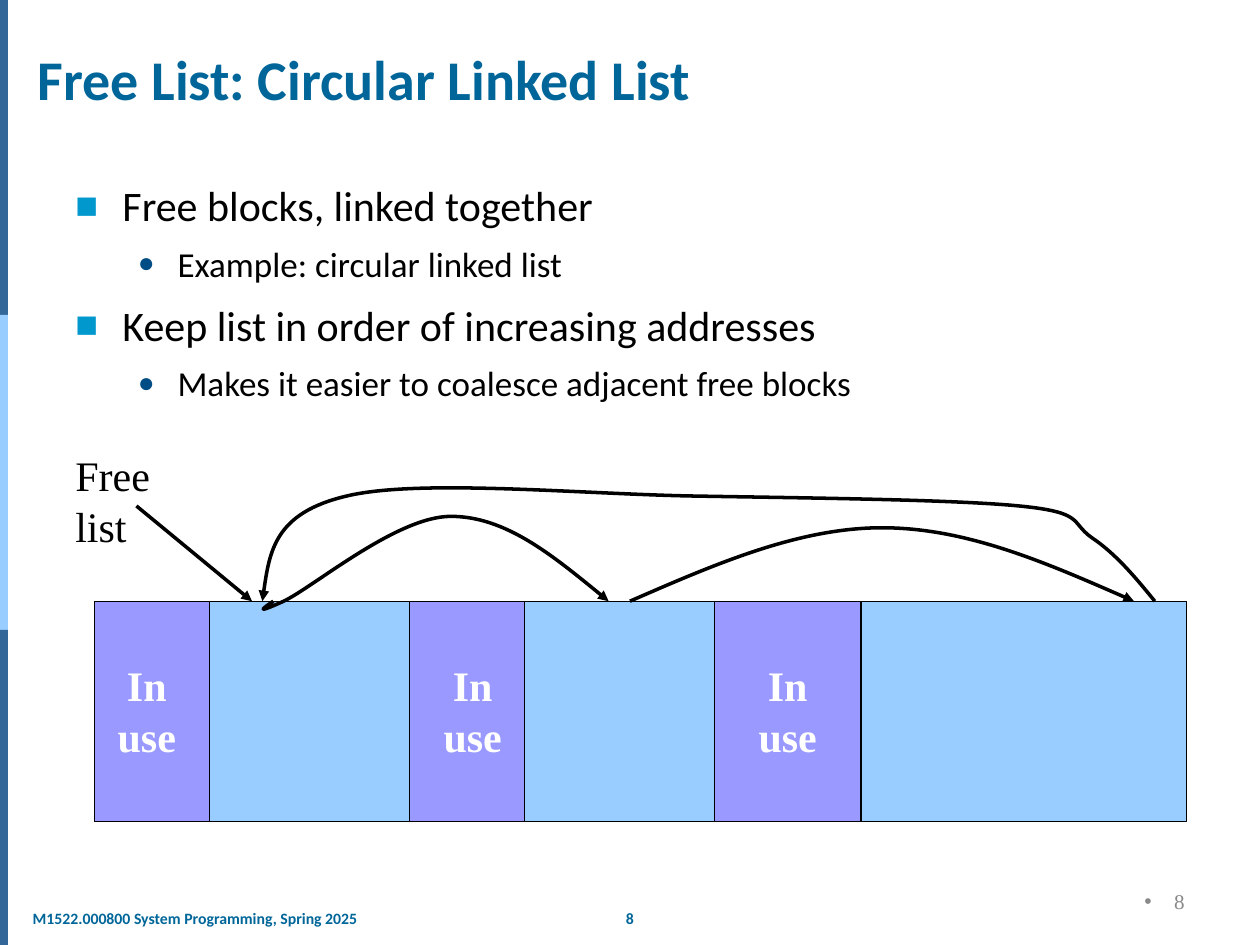
"""Build a slide on a circular linked free list."""
from typing import NamedTuple, Optional

from lxml import etree
from pptx import Presentation
from pptx.dml.color import RGBColor
from pptx.enum.shapes import MSO_CONNECTOR, MSO_SHAPE
from pptx.enum.text import MSO_ANCHOR, PP_ALIGN
from pptx.oxml.ns import qn
from pptx.util import Cm, Pt

RECT, LINE = MSO_SHAPE.RECTANGLE, MSO_CONNECTOR.STRAIGHT
LEFT, MID, RIGHT = PP_ALIGN.LEFT, PP_ALIGN.CENTER, PP_ALIGN.RIGHT
TOP, MIDDLE, BASE = MSO_ANCHOR.TOP, MSO_ANCHOR.MIDDLE, MSO_ANCHOR.BOTTOM
BLACK = RGBColor(0, 0, 0)
WHITE = RGBColor(255, 255, 255)
GREY = RGBColor(0x89, 0x89, 0x89)
TEAL = RGBColor(0x00, 0x66, 0x99)
NAVY = RGBColor(0x33, 0x66, 0x99)
SKY = RGBColor(0x99, 0xCC, 0xFF)
LILAC = RGBColor(0x99, 0x99, 0xFF)
CYAN = RGBColor(0x00, 0x98, 0xCD)
DEEP = RGBColor(0x00, 0x4D, 0x86)
SANS, SERIF = "Calibri", "Times New Roman"
ROW, TALL = 12.12, 4.44


class Style(NamedTuple):
    font: str
    size: int
    color: RGBColor
    bold: bool = False


class Bullet(NamedTuple):
    char: str
    color: RGBColor
    scale: int
    left: float
    hang: float


class Item(NamedTuple):
    text: str
    style: Style
    bullet: Optional[Bullet] = None
    level: int = 0
    gap: float = 0


class Block(NamedTuple):
    left: float
    width: float
    color: RGBColor


HEAD = Style(SANS, 32, TEAL, True)
FOOT = Style(SANS, 9, TEAL, True)
BIG, SMALL = Style(SANS, 24, BLACK), Style(SANS, 20, BLACK)
NOTE, USED = Style(SERIF, 24, BLACK), Style(SERIF, 24, WHITE, True)
PAGE = Style(SERIF, 12, GREY)
BOX = Bullet("■", CYAN, 90, 0.95, 0.95)
DOT = Bullet("●", DEEP, 80, 2.06, 0.8)
SPOT = Bullet("•", GREY, 100, 0.6, 0.6)

ITEMS = [
    Item("Free blocks, linked together", BIG, BOX),
    Item("Example: circular linked list", SMALL, DOT, 1, 7),
    Item("Keep list in order of increasing addresses", BIG, BOX, 0, 8.4),
    Item("Makes it easier to coalesce adjacent free blocks", SMALL, DOT, 1, 7),
]
BLOCKS = [
    Block(1.9, 22.02, SKY),
    Block(1.9, 2.33, LILAC),
    Block(8.25, 2.33, LILAC),
    Block(10.58, 3.82, SKY),
    Block(14.4, 2.96, LILAC),
]
CURVES = [
    [(5.51, ROW), (5.31, 12.26), (5.1, 12.4), (5.72, 12.12),
     (6.33, 11.83), (8, 10.41), (9.09, 10.41),
     (10.19, 10.41), (11.23, 11.27), (12.27, ROW)],
    [(12.7, ROW), (14.4, 11.38), (16.09, 10.64), (17.78, 10.64),
     (19.47, 10.64), (21.17, 11.38), (22.86, ROW)],
    [(23.28, ROW), (22.89, 11.64), (22.49, 11.16), (22.01, 10.84),
     (21.56, 10.52), (21.88, 10.33), (20.53, 10.2),
     (19.2, 10.07), (16.23, 10.04), (13.97, 10),
     (11.71, 9.96), (8.44, 9.65), (6.99, 10),
     (5.54, 10.34), (5.41, 11.23), (5.29, ROW)],
]


def mark(para, bul: Bullet) -> None:
    props = para._p.get_or_add_pPr()
    props.set("marL", str(Cm(bul.left)))
    props.set("indent", str(-Cm(bul.hang)))
    tint = etree.SubElement(props, qn("a:buClr"))
    etree.SubElement(tint, qn("a:srgbClr"), val=str(bul.color))
    etree.SubElement(props, qn("a:buSzPct"), val=str(bul.scale * 1000))
    etree.SubElement(props, qn("a:buFont"), typeface="Arial")
    etree.SubElement(props, qn("a:buChar"), char=bul.char)


def write(frame, items: list[Item], align=LEFT, anchor=TOP) -> None:
    frame.vertical_anchor = anchor
    for num, item in enumerate(items):
        para = frame.add_paragraph() if num else frame.paragraphs[0]
        para.level, para.alignment = item.level, align
        if item.bullet:
            mark(para, item.bullet)
        if item.gap:
            para.space_before = Pt(item.gap)
        run = para.add_run()
        run.text = item.text
        font, style = run.font, item.style
        font.name, font.size = style.font, Pt(style.size)
        font.bold, font.color.rgb = style.bold, style.color


def text(slide, left: float, top: float, width: float, height: float,
         items: list[Item], align=LEFT, anchor=TOP, wrap: bool = False):
    box = slide.shapes.add_textbox(Cm(left), Cm(top), Cm(width), Cm(height))
    box.text_frame.word_wrap = wrap
    write(box.text_frame, items, align, anchor)
    return box


def rect(slide, left: float, top: float, width: float, height: float,
         color: RGBColor, edge: bool = False) -> None:
    shape = slide.shapes.add_shape(
        RECT, Cm(left), Cm(top), Cm(width), Cm(height))
    shape.shadow.inherit = False
    shape.fill.solid()
    shape.fill.fore_color.rgb = color
    if edge:
        shape.line.color.rgb, shape.line.width = BLACK, Pt(0.75)
    else:
        shape.line.fill.background()


def arrow(shape) -> None:
    shape.line.color.rgb, shape.line.width = BLACK, Pt(2)
    etree.SubElement(shape.line._get_or_add_ln(), qn("a:tailEnd"),
                     type="triangle")


def curve(slide, points: list[tuple[float, float]]) -> None:
    spots = [(Cm(x), Cm(y)) for x, y in points]
    pen = slide.shapes.build_freeform(*spots[0])
    pen.add_line_segments(spots[1:], close=False)
    shape = pen.convert_to_shape()
    shape.shadow.inherit = False
    shape.fill.background()
    arrow(shape)
    route = next(shape._element.iter(qn("a:path")))
    steps = route.findall(qn("a:lnTo"))
    for num in range(0, len(steps), 3):
        bend = etree.SubElement(route, qn("a:cubicBezTo"))
        for step in steps[num:num + 3]:
            bend.append(step[0])
            route.remove(step)


def main() -> None:
    deck = Presentation()
    deck.slide_width, deck.slide_height = Cm(25.4), Cm(19.05)
    slide = deck.slides.add_slide(deck.slide_layouts[5])
    for num, color in enumerate((NAVY, SKY, NAVY)):
        rect(slide, 0, num * 6.35, 0.16, 6.35, color)
    text(slide, 12.24, 18.19, 0.92, 0.63, [Item("8", FOOT)], MID)
    foot = text(slide, 0.5, 18.19, 6.9, 0.63,
                [Item("M1522.000800 System Programming, Spring 2025", FOOT)])
    foot.text_frame.margin_left = foot.text_frame.margin_right = Cm(0.16)

    title = slide.shapes.title
    title.left, title.top = Cm(0.5), Cm(0.79)
    title.width, title.height = Cm(24.5), Cm(1.6)
    write(title.text_frame, [Item("Free List: Circular Linked List", HEAD)],
          LEFT, BASE)
    text(slide, 1.27, 3.5, 23.72, 14.5, ITEMS, wrap=True)
    text(slide, 18.2, 17.65, 5.93, 1.02, [Item("8", PAGE, SPOT)],
         RIGHT, MIDDLE, True)

    for block in BLOCKS:
        rect(slide, block.left, ROW, block.width, TALL, block.color, True)
    for left in (2.12, 8.69, 15.04):
        text(slide, left, 13.18, 1.68, 2.29,
             [Item("In", USED), Item("use", USED)], MID)
    link = slide.shapes.add_connector(
        LINE, Cm(2.75), Cm(10.2), Cm(5.08), Cm(ROW))
    arrow(link)
    etree.SubElement(link._element.spPr, qn("a:effectLst"))
    text(slide, 1.27, 8.94, 3.25, 1.27, [Item("Free list", NOTE)])
    for points in CURVES:
        curve(slide, points)
    deck.save("out.pptx")


if __name__ == "__main__":
    main()
